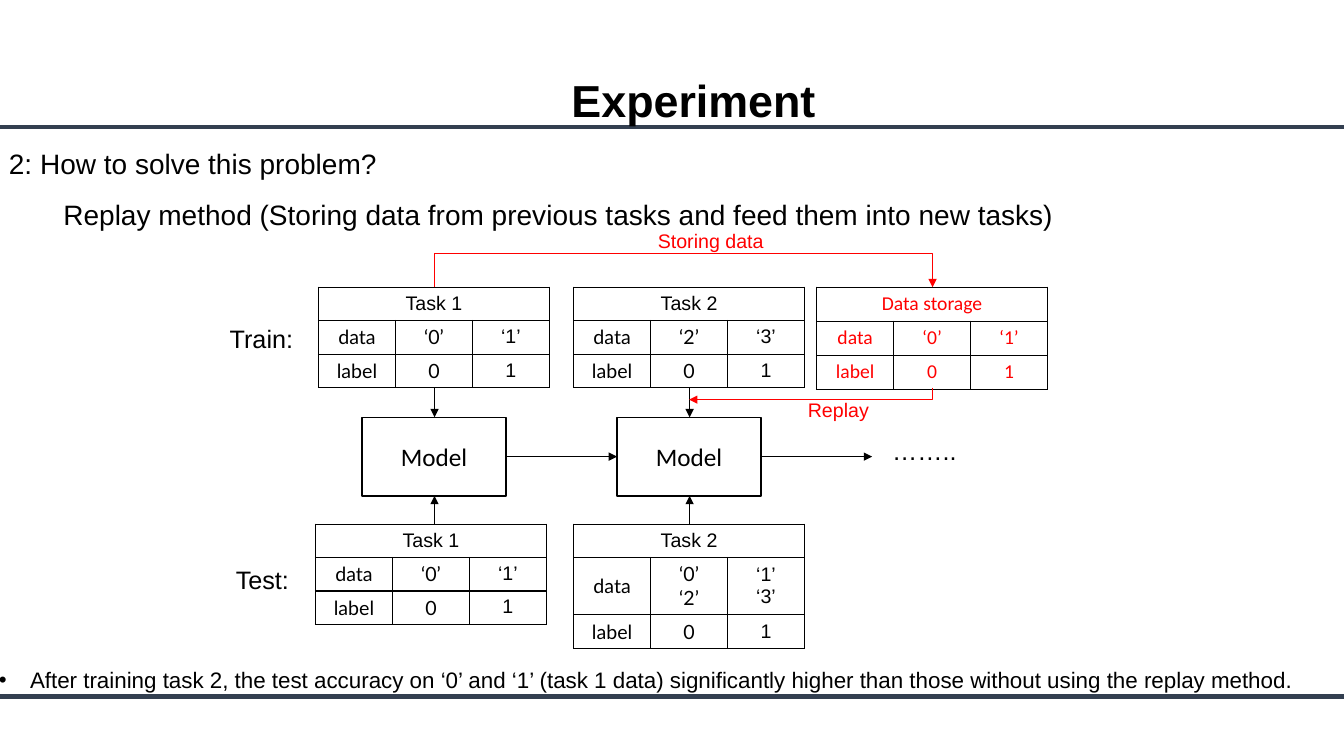
import dataclasses
import typing

import lxml.etree
import pptx
import pptx.dml.color
import pptx.enum.shapes
import pptx.enum.text
import pptx.oxml.ns
import pptx.util

Inches = pptx.util.Inches
Align = pptx.enum.text.PP_ALIGN
Anchor = pptx.enum.text.MSO_ANCHOR
Kind = pptx.enum.shapes.MSO_CONNECTOR
qn = pptx.oxml.ns.qn


@dataclasses.dataclass(frozen=True)
class Theme:
    ink: str = "000000"
    red: str = "FF0000"
    navy: str = "333F50"
    white: str = "FFFFFF"
    sans: str = "Arial"
    plain: str = "Calibri"
    soft: str = "Lato"
    title: int = 32
    lead: int = 20
    body: int = 18
    note: int = 16
    small: int = 14
    thin: float = 0.5
    edge: float = 1
    rule: float = 3


THEME = Theme()


@dataclasses.dataclass
class Label:
    left: float
    top: float
    width: float
    height: float
    lines: list[str]
    size: int = THEME.body
    color: str = THEME.ink
    bold: bool = False
    align: typing.Any = Align.LEFT
    space: float = 1
    indents: tuple[float, ...] = (0,)
    bullet: bool = False


@dataclasses.dataclass
class Grid:
    left: float
    top: float
    title: str
    data: list[str]
    heights: tuple[float, ...] = (0.33, 0.33, 0.33)
    fonts: tuple[str, ...] = (THEME.soft, THEME.soft, THEME.sans)
    head: str = THEME.sans
    color: str = THEME.ink
    fill: str = ""
    anchor: typing.Any = Anchor.TOP


@dataclasses.dataclass
class Line:
    start: tuple[float, float]
    end: tuple[float, float]
    color: str = THEME.ink
    width: float = THEME.thin
    arrow: bool = True
    bent: bool = False
    turn: int = 0


def paint(text: str) -> pptx.dml.color.RGBColor:
    return pptx.dml.color.RGBColor.from_string(text)


def add_run(para: typing.Any, text: str, size: int, font: str, color: str, bold: bool = False) -> None:
    run = para.add_run()
    run.text = text
    run.font.size = pptx.util.Pt(size)
    run.font.name = font
    run.font.bold = bold
    run.font.color.rgb = paint(color)


def add_lines(frame: typing.Any, lines: list[str]) -> typing.Iterator[tuple[typing.Any, str]]:
    for i, text in enumerate(lines):
        yield (frame.add_paragraph() if i else frame.paragraphs[0]), text


def draw_label(slide: typing.Any, item: Label) -> None:
    box = slide.shapes.add_textbox(*map(Inches, (item.left, item.top, item.width, item.height)))
    frame = box.text_frame
    frame.word_wrap = True
    frame.auto_size = pptx.enum.text.MSO_AUTO_SIZE.SHAPE_TO_FIT_TEXT
    for (para, text), indent in zip(add_lines(frame, item.lines), item.indents):
        para.alignment = item.align
        para.line_spacing = item.space
        props = para._p.get_or_add_pPr()
        props.set("marL", str(Inches(indent)))
        if item.bullet:
            props.set("indent", str(Inches(-indent)))
            lxml.etree.SubElement(props, qn("a:buFont"), typeface=THEME.sans)
            lxml.etree.SubElement(props, qn("a:buChar"), char="•")
        add_run(para, text, item.size, THEME.sans, item.color, item.bold)


def add_edges(cell: typing.Any) -> None:
    props = cell._tc.get_or_add_tcPr()
    for i, side in enumerate("LRTB"):
        edge = lxml.etree.Element(qn(f"a:ln{side}"), w=str(pptx.util.Pt(THEME.edge)))
        fill = lxml.etree.SubElement(edge, qn("a:solidFill"))
        lxml.etree.SubElement(fill, qn("a:srgbClr"), val=THEME.ink)
        props.insert(i, edge)


def draw_grid(slide: typing.Any, item: Grid) -> None:
    size = Inches(2.29), Inches(sum(item.heights))
    table = slide.shapes.add_table(3, 3, Inches(item.left), Inches(item.top), *size).table
    table.first_row = table.horz_banding = False
    for row, height in zip(table.rows, item.heights):
        row.height = Inches(height)
    table.cell(0, 0).merge(table.cell(0, 2))
    rows = [[item.title, "", ""], ["data", *item.data], ["label", "0", "1"]]
    for r, texts in enumerate(rows):
        for c, text in enumerate(texts):
            cell = table.cell(r, c)
            cell.vertical_anchor = item.anchor
            if item.fill:
                cell.fill.solid()
                cell.fill.fore_color.rgb = paint(item.fill)
            else:
                cell.fill.background()
            add_edges(cell)
            if text:
                font = item.fonts[c] if r else item.head
                for para, part in add_lines(cell.text_frame, text.split("\n")):
                    para.alignment = Align.CENTER
                    add_run(para, part, THEME.small, font, item.color)


def draw_line(slide: typing.Any, item: Line) -> None:
    kind = Kind.ELBOW if item.bent else Kind.STRAIGHT
    link = slide.shapes.add_connector(kind, *map(Inches, (*item.start, *item.end)))
    link.line.color.rgb = paint(item.color)
    link.line.width = pptx.util.Pt(item.width)
    props = link._element.spPr
    if item.bent:
        props.find(qn("a:prstGeom")).set("prst", "bentConnector2")
        props.find(qn("a:xfrm")).set("rot", str(item.turn * 60000))
    if item.arrow:
        lxml.etree.SubElement(props.find(qn("a:ln")), qn("a:tailEnd"), type="triangle")
    lxml.etree.SubElement(props, qn("a:effectLst"))


def draw_model(slide: typing.Any, left: float) -> None:
    rect = pptx.enum.shapes.MSO_SHAPE.RECTANGLE
    box = slide.shapes.add_shape(rect, *map(Inches, (left, 4.14, 1.43, 0.78)))
    box.shadow.inherit = False
    box.fill.background()
    box.line.color.rgb = paint(THEME.ink)
    box.line.width = pptx.util.Pt(THEME.edge)
    box.text_frame.vertical_anchor = Anchor.MIDDLE
    para = box.text_frame.paragraphs[0]
    para.alignment = Align.CENTER
    add_run(para, "Model", THEME.body, THEME.plain, THEME.ink)


MODELS = (3.59, 6.12)
RULES = [Line((0, y), (13.33, y), THEME.navy, THEME.rule, False) for y in (6.91, 1.26)]
GRIDS = [
    Grid(3.16, 2.85, "Task 1", ["‘0’", "‘1’"]),
    Grid(5.69, 2.85, "Task 2", ["‘2’", "‘3’"]),
    Grid(3.13, 5.2, "Task 1", ["‘0’", "‘1’"]),
    Grid(5.69, 5.2, "Task 2", ["‘0’\n‘2’", "‘1’\n‘3’"], (0.33, 0.57, 0.33), anchor=Anchor.MIDDLE),
    Grid(8.1, 2.85, "Data storage", ["‘0’", "‘1’"], fonts=(THEME.plain,) * 3,
         head=THEME.plain, color=THEME.red, fill=THEME.white),
]
FLOWS = [line for x in MODELS for line in (
    Line((x + 0.72, 3.85), (x + 0.72, 4.14)),
    Line((x + 1.43, 4.53), (x + 2.53, 4.53)),
    Line((x + 0.72, 5.2), (x + 0.72, 4.92)),
)]
LOOPS = [
    Line((4.31, 2.51), (9.25, 2.85), THEME.red, bent=True),
    Line((4.31, 2.51), (4.31, 2.85), THEME.red, arrow=False),
    Line((7.98, 2.7), (8.1, 5.11), THEME.red, bent=True, turn=90),
]
LABELS = [
    Label(5.57, 0.41, 2.94, 0.81, ["Experiment"], THEME.title, bold=True, space=1.5),
    Label(-0.01, 1.24, 13.33, 1.05, [
        "2: How to solve this problem?",
        "Replay method (Storing data from previous tasks and feed them into new tasks)",
    ], THEME.lead, space=1.5, indents=(0, 0.54)),
    Label(2.18, 3.16, 0.87, 0.4, ["Train:"]),
    Label(2.24, 5.55, 0.87, 0.4, ["Test:"]),
    Label(8.75, 4.27, 1.09, 0.4, ["…….."]),
    Label(7.77, 3.9, 1.09, 0.34, ["Replay"], THEME.small, THEME.red, align=Align.CENTER),
    Label(6.32, 2.22, 1.46, 0.34, ["Storing data"], THEME.small, THEME.red, align=Align.CENTER),
    Label(-0.11, 6.43, 13.26, 0.45, [
        "After training task 2, the test accuracy on ‘0’ and ‘1’ (task 1 data) "
        "significantly higher than those without using the replay method."
    ], THEME.note, space=1.5, indents=(0.31,), bullet=True),
]


def main() -> None:
    deck = pptx.Presentation()
    deck.slide_width, deck.slide_height = Inches(13.33), Inches(7.5)
    slide = deck.slides.add_slide(deck.slide_layouts[6])
    for draw, items in ((draw_line, RULES), (draw_grid, GRIDS), (draw_model, MODELS),
                        (draw_line, FLOWS + LOOPS), (draw_label, LABELS)):
        for item in items:
            draw(slide, item)
    deck.save("out.pptx")


if __name__ == "__main__":
    main()
